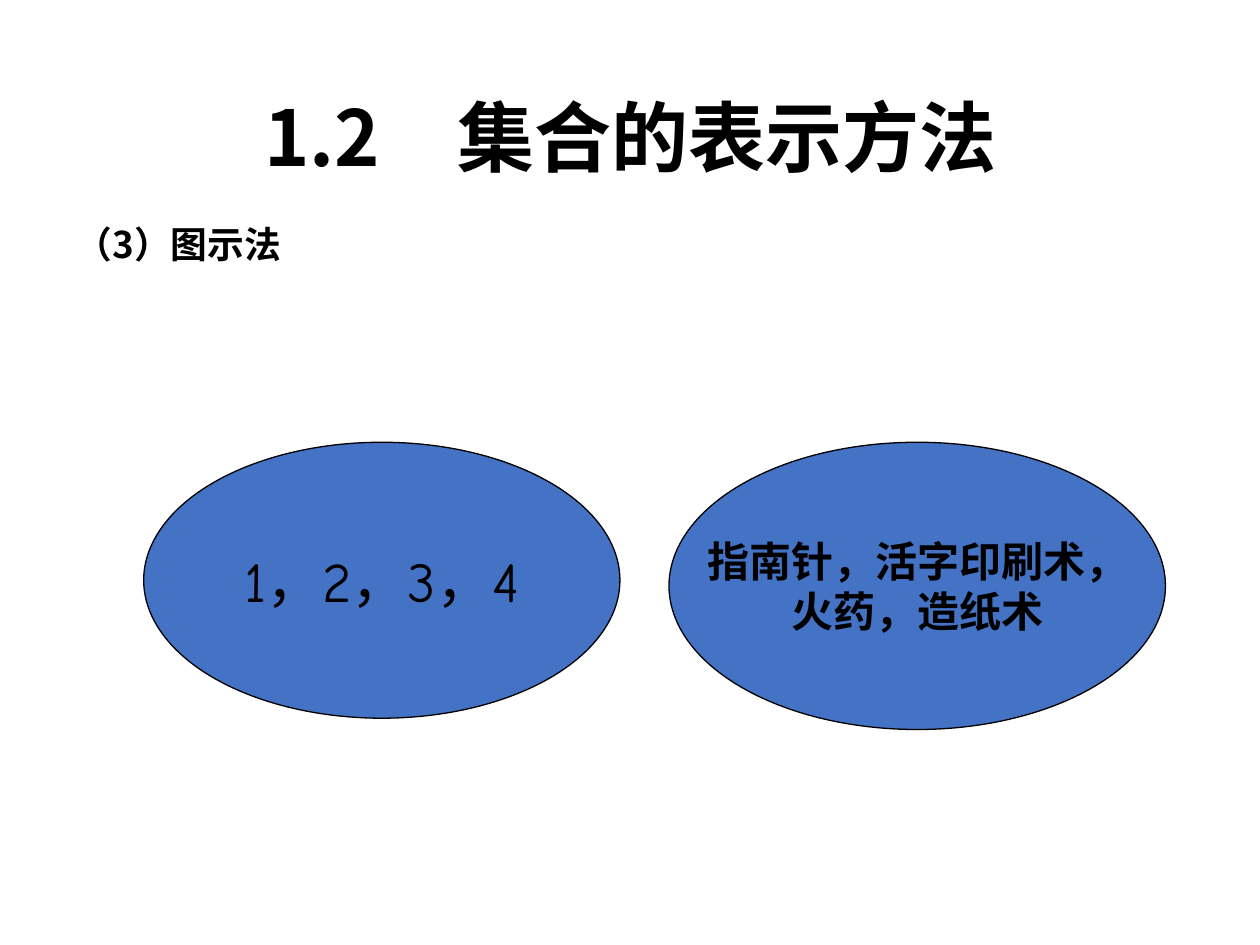
"""Build the slide on showing sets with diagrams."""
from lxml.etree import SubElement
from pptx import Presentation
from pptx.dml.color import RGBColor as Color
from pptx.enum.shapes import MSO_SHAPE as Shape
from pptx.enum.text import MSO_ANCHOR as Anchor, MSO_AUTO_SIZE as AutoSize, PP_ALIGN as Align
from pptx.oxml.ns import qn
from pptx.util import Inches, Pt

TITLE = "1.2　集合的表示方法"
METHOD = "（3）图示法"
SETS = [
    {"lines": ["1，2，3，4"], "at": (1.14, 3.51, 3.78, 2.19), "style": "numbers"},
    {"lines": ["指南针，活字印刷术，", "火药，造纸术"], "at": (5.31, 3.51, 3.94, 2.28), "style": "inventions"},
]
HEADING_FONT, SET_FONT = "Noto Sans CJK SC", "Comic Neue"
THEME = {
    "ink": Color.from_string("000000"),
    "fill": Color.from_string("4472C4"),
    "title": {"name": HEADING_FONT, "size": Pt(44), "bold": True},
    "method": {"name": HEADING_FONT, "size": Pt(21), "bold": True},
    "numbers": {"name": SET_FONT, "size": Pt(32), "bold": False},
    "inventions": {"name": SET_FONT, "size": Pt(24), "bold": True},
}


def place(box, at):
    box.left, box.top, box.width, box.height = map(Inches, at)


def write(box, lines, style, align, anchor, wrap, **spacing):
    frame = box.text_frame
    frame.text = "\n".join(lines)
    frame.word_wrap = wrap
    frame.auto_size = AutoSize.NONE
    frame.vertical_anchor = anchor
    for para in frame.paragraphs:
        for name, value in {"alignment": align, **spacing}.items():
            setattr(para, name, value)
        for span in para.runs:
            for name, value in THEME[style].items():
                setattr(span.font, name, value)
            span.font.color.rgb = THEME["ink"]
            SubElement(span.font._element, qn("a:ea"), typeface=HEADING_FONT)


def add_set(page, lines, at, style):
    oval = page.shapes.add_shape(Shape.OVAL, *map(Inches, at))
    oval.shadow.inherit = False
    oval.fill.solid()
    oval.fill.fore_color.rgb = THEME["fill"]
    oval.line.color.rgb = THEME["ink"]
    oval.line.width = Pt(0.75)
    write(oval, lines, style, Align.CENTER, Anchor.MIDDLE, False)


def main():
    deck = Presentation()
    deck.slide_width, deck.slide_height = Inches(10), Inches(7.5)
    page = deck.slides.add_slide(deck.slide_layouts[1])
    title, body = page.placeholders
    place(title, (0.69, 0.4, 8.63, 1.45))
    write(title, [TITLE], "title", Align.CENTER, Anchor.MIDDLE, True, line_spacing=0.9)
    place(body, (0.5, 1.75, 9, 0.82))
    write(body, [METHOD], "method", Align.LEFT, Anchor.TOP, True, line_spacing=0.9, space_before=Pt(0))
    layout = body.text_frame.paragraphs[0]._p.get_or_add_pPr()
    layout.set("marL", str(Inches(0.19)))
    layout.set("indent", str(Inches(-0.19)))
    SubElement(layout, qn("a:buNone"))
    for group in SETS:
        add_set(page, **group)
    deck.save("out.pptx")


if __name__ == "__main__":
    main()
